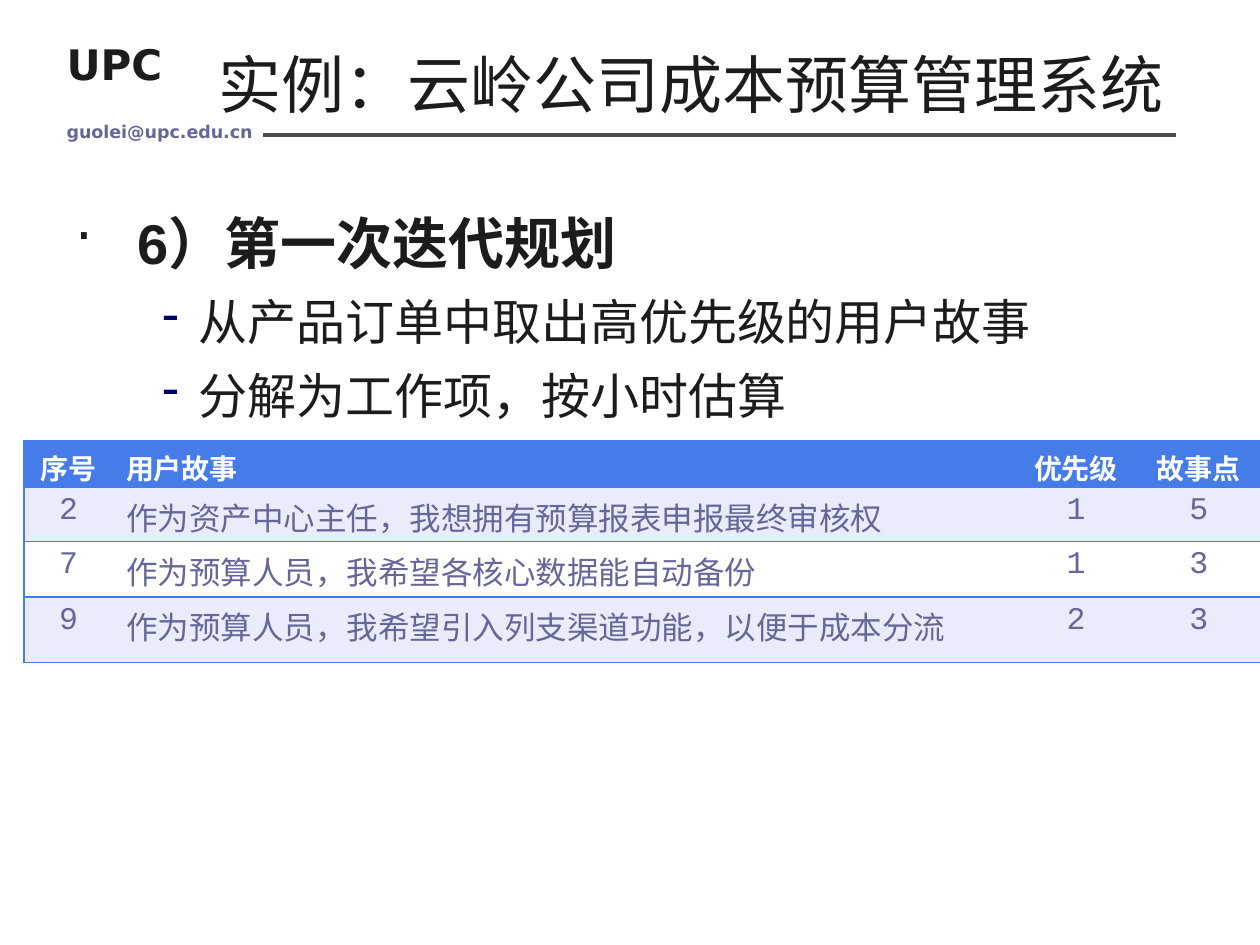
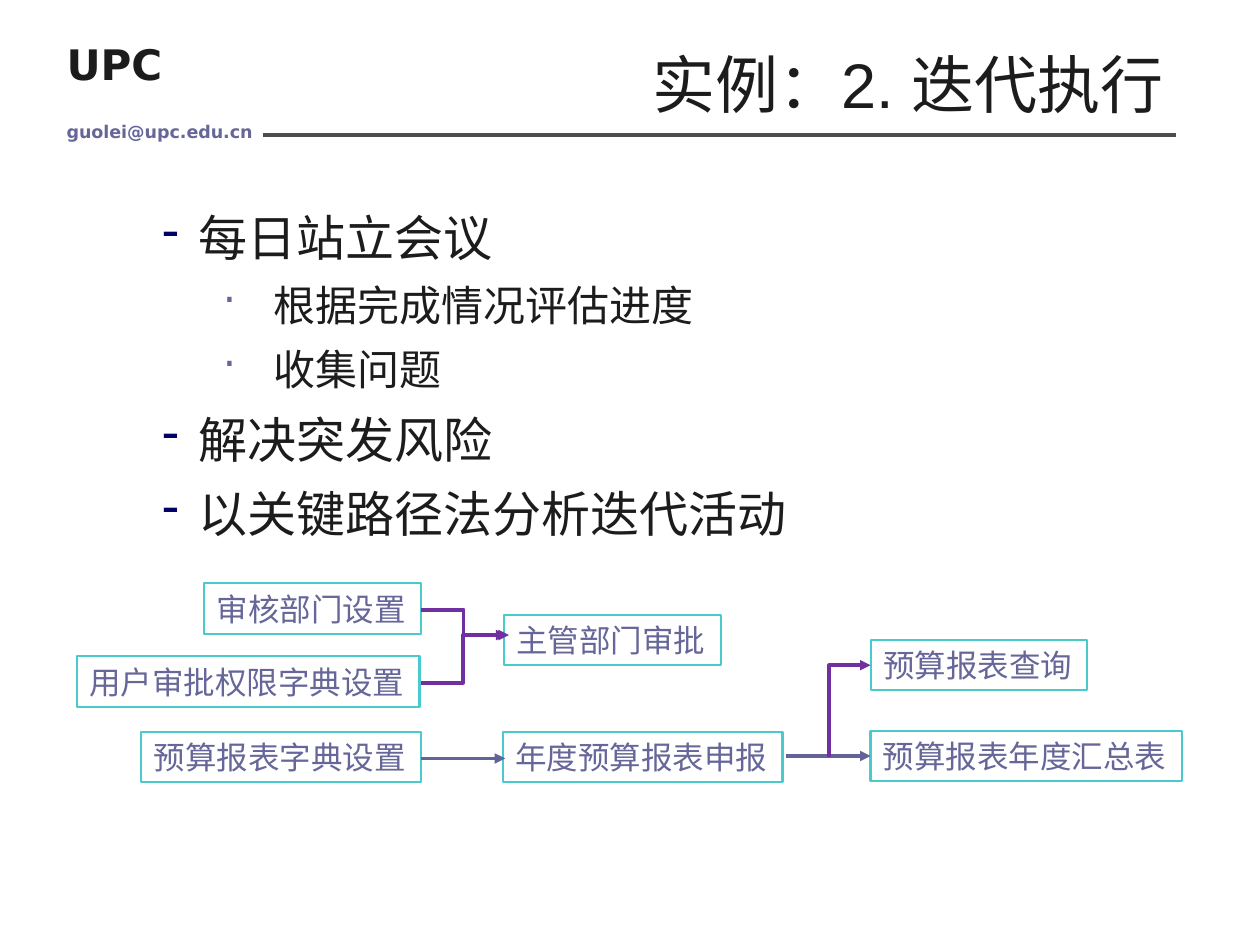
from dataclasses import dataclass
from typing import NamedTuple

from lxml import etree
from pptx import Presentation
from pptx import util as u
from pptx.dml.color import RGBColor
from pptx.enum import shapes, text
from pptx.oxml import ns

INK = RGBColor(0x1C, 0x1C, 0x1C)
SLATE = RGBColor(0x66, 0x66, 0x99)
NAVY = RGBColor(0x00, 0x00, 0x66)
RULE_GRAY = RGBColor(0x4D, 0x4D, 0x4D)
WHITE = RGBColor(0xFF, 0xFF, 0xFF)
TABLE_BLUE = RGBColor(0x46, 0x7C, 0xE8)
BAND = RGBColor(0xE9, 0xEC, 0xFB)
TEAL = RGBColor(0x49, 0xCA, 0xCD)
STEEL = RGBColor(0x63, 0x63, 0x97)
PURPLE = RGBColor(0x70, 0x30, 0xA0)

WIDTH, HEIGHT = u.Inches(10), u.Inches(7.5)
COLUMN, ROW = WIDTH / 100, HEIGHT / 75


class Area(NamedTuple):
    column: float
    row: float
    columns: float
    rows: float

    def lengths(self) -> tuple:
        return (across(self.column), down(self.row),
                across(self.columns), down(self.rows))


@dataclass(frozen=True)
class Style:
    size: float
    font: str
    color: RGBColor
    bold: bool = False


@dataclass(frozen=True)
class Level:
    left: float
    hang: float
    mark: str
    mark_color: RGBColor
    style: Style


@dataclass(frozen=True)
class Node:
    label: str
    column: float
    row: float


@dataclass(frozen=True)
class Link:
    start: tuple
    end: tuple
    color: RGBColor
    bend: float | None = None


BRAND = Style(24, "DejaVu Sans", INK, True)
MAIL = Style(10, "DejaVu Sans", SLATE, True)
TITLE = Style(36, "Arial", INK)
TABLE_HEAD = Style(16, "Courier New", WHITE, True)
TABLE_TEXT = Style(18, "Courier New", SLATE)
NODE_TEXT = TABLE_TEXT

TOPIC = Level(4.9, 4.9, "·", INK, Style(32, "Arial", INK, True))
POINT = Level(9.8, 2.9, "-", NAVY, Style(28, "Arial", INK))
DETAIL = Level(15.7, 4, "·", SLATE, Style(24, "Arial", INK))

PLAN = [
    (TOPIC, "6）第一次迭代规划"),
    (POINT, "从产品订单中取出高优先级的用户故事"),
    (POINT, "分解为工作项，按小时估算"),
]
EXECUTION = [
    (POINT, "每日站立会议"),
    (DETAIL, "根据完成情况评估进度"),
    (DETAIL, "收集问题"),
    (POINT, "解决突发风险"),
    (POINT, "以关键路径法分析迭代活动"),
]

STORY_COLUMNS = [7.1, 71.7, 9.4, 10.1]
STORY_ROWS = [3.3, 4.3, 4.4, 5.2]
STORIES = [
    ("序号", "用户故事", "优先级", "故事点"),
    ("2", "作为资产中心主任，我想拥有预算报表申报最终审核权", "1", "5"),
    ("7", "作为预算人员，我希望各核心数据能自动备份", "1", "3"),
    ("9", "作为预算人员，我希望引入列支渠道功能，以便于成本分流", "2", "3"),
]

NODE_ROWS = 4
NODES = [
    Node("预算报表字典设置", 11.2, 58.1),
    Node("年度预算报表申报", 39.9, 58.1),
    Node("预算报表年度汇总表", 69.1, 58),
    Node("用户审批权限字典设置", 6.1, 52.1),
    Node("审核部门设置", 16.2, 46.3),
    Node("预算报表查询", 69.1, 50.8),
    Node("主管部门审批", 40, 48.8),
]
LINKS = [
    Link((33.4, 60.2), (40.1, 60.2), STEEL),
    Link((62.4, 60), (69.1, 60), STEEL),
    Link((65.8, 60.1), (69.1, 52.8), PURPLE, 0),
    Link((33.4, 48.4), (40.2, 50.4), PURPLE, 0.5),
    Link((33.4, 54.2), (40.4, 50.4), PURPLE, 0.48),
]


def across(columns: float) -> int:
    return round(columns * COLUMN)


def down(rows: float) -> int:
    return round(rows * ROW)


def add_element(parent, tag: str, **attributes: str):
    return etree.SubElement(parent, ns.qn(tag), attributes)


def add_color(parent, color: RGBColor) -> None:
    add_element(parent, "a:srgbClr", val=str(color))


def add_span(para, words: str, style: Style) -> None:
    span = para.add_run()
    span.text = words
    span.font.size = u.Pt(style.size)
    span.font.name = style.font
    span.font.bold = style.bold
    span.font.color.rgb = style.color


def add_text(page, area: Area, words: str, style: Style,
             align=text.PP_ALIGN.LEFT, anchor=text.MSO_ANCHOR.TOP) -> None:
    frame = page.shapes.add_textbox(*area.lengths()).text_frame
    frame.word_wrap = True
    frame.vertical_anchor = anchor
    para = frame.paragraphs[0]
    para.alignment = align
    add_span(para, words, style)


def add_outline(page, area: Area, items: list) -> None:
    frame = page.shapes.add_textbox(*area.lengths()).text_frame
    frame.word_wrap = True
    for index, (level, words) in enumerate(items):
        para = frame.add_paragraph() if index else frame.paragraphs[0]
        props = para._p.get_or_add_pPr()
        props.set("marL", str(across(level.left)))
        props.set("indent", str(-across(level.hang)))
        add_color(add_element(props, "a:buClr"), level.mark_color)
        add_element(props, "a:buChar", char=level.mark)
        para.line_spacing = 1.1
        if index:
            para.space_before = u.Pt(0.2 * level.style.size)
        add_span(para, words, level.style)


def add_line(page, link: Link, width: float, arrow: bool):
    kind = shapes.MSO_CONNECTOR.STRAIGHT if link.bend is None else shapes.MSO_CONNECTOR.ELBOW
    line = page.shapes.add_connector(
        kind, across(link.start[0]), down(link.start[1]),
        across(link.end[0]), down(link.end[1]))
    line.line.color.rgb = link.color
    line.line.width = u.Pt(width)
    props = line._element.spPr
    if link.bend is not None:
        guides = props.find(ns.qn("a:prstGeom")).find(ns.qn("a:avLst"))
        add_element(guides, "a:gd", name="adj1", fmla=f"val {round(link.bend * 100000)}")
    if arrow:
        add_element(line.line._get_or_add_ln(), "a:tailEnd", type="triangle")
    add_element(props, "a:effectLst")


def add_page(deck, title: str, items: list, body_rows: float):
    page = deck.slides.add_slide(deck.slide_layouts[6])
    add_text(page, Area(4.3, 2.6, 12.6, 5), "UPC", BRAND)
    add_line(page, Link((20.9, 10.7), (93.3, 10.7), RULE_GRAY), 0, False)
    add_text(page, Area(6.9, 3.5, 86.4, 6.2), title, TITLE,
             text.PP_ALIGN.RIGHT, text.MSO_ANCHOR.MIDDLE)
    add_outline(page, Area(5, 15.5, 90, body_rows), items)
    add_text(page, Area(4.3, 9.1, 24.5, 3.5), "guolei@upc.edu.cn", MAIL)
    return page


def set_borders(cell, sides: str) -> None:
    props = cell._tc.get_or_add_tcPr()
    for side in "LRTB":
        border = add_element(props, f"a:ln{side}", w=str(u.Pt(1)))
        if side in sides:
            add_color(add_element(border, "a:solidFill"), TABLE_BLUE)
        else:
            add_element(border, "a:noFill")


def add_stories(page) -> None:
    area = Area(1.9, 35, sum(STORY_COLUMNS), sum(STORY_ROWS))
    table = page.shapes.add_table(
        len(STORIES), len(STORY_COLUMNS), *area.lengths()).table
    for column, columns in zip(table.columns, STORY_COLUMNS):
        column.width = across(columns)
    for row, rows in zip(table.rows, STORY_ROWS):
        row.height = down(rows)
    edges = {0: "LTB", len(STORY_COLUMNS) - 1: "RTB"}
    for r, story in enumerate(STORIES):
        fill = TABLE_BLUE if r == 0 else BAND if r % 2 else WHITE
        for c, words in enumerate(story):
            cell = table.cell(r, c)
            set_borders(cell, edges.get(c, "TB"))
            cell.fill.solid()
            cell.fill.fore_color.rgb = fill
            para = cell.text_frame.paragraphs[0]
            para.alignment = text.PP_ALIGN.LEFT if c == 1 else text.PP_ALIGN.CENTER
            add_span(para, words, TABLE_TEXT if r else TABLE_HEAD)


def add_node(page, node: Node) -> None:
    area = Area(node.column, node.row, 2.5 * len(node.label) + 2.2, NODE_ROWS)
    box = page.shapes.add_shape(shapes.MSO_SHAPE.RECTANGLE, *area.lengths())
    box.shadow.inherit = False
    box.fill.background()
    box.line.color.rgb = TEAL
    box.line.width = u.Pt(1.25)
    frame = box.text_frame
    frame.word_wrap = False
    frame.vertical_anchor = text.MSO_ANCHOR.MIDDLE
    para = frame.paragraphs[0]
    para.alignment = text.PP_ALIGN.LEFT
    add_span(para, node.label, NODE_TEXT)


def main() -> None:
    deck = Presentation()
    deck.slide_width, deck.slide_height = WIDTH, HEIGHT

    add_stories(add_page(deck, "实例：云岭公司成本预算管理系统", PLAN, 19.5))

    page = add_page(deck, "实例：2. 迭代执行", EXECUTION, 33)
    for node in NODES:
        add_node(page, node)
    for link in LINKS:
        add_line(page, link, 2, True)

    deck.save("out.pptx")


if __name__ == "__main__":
    main()
